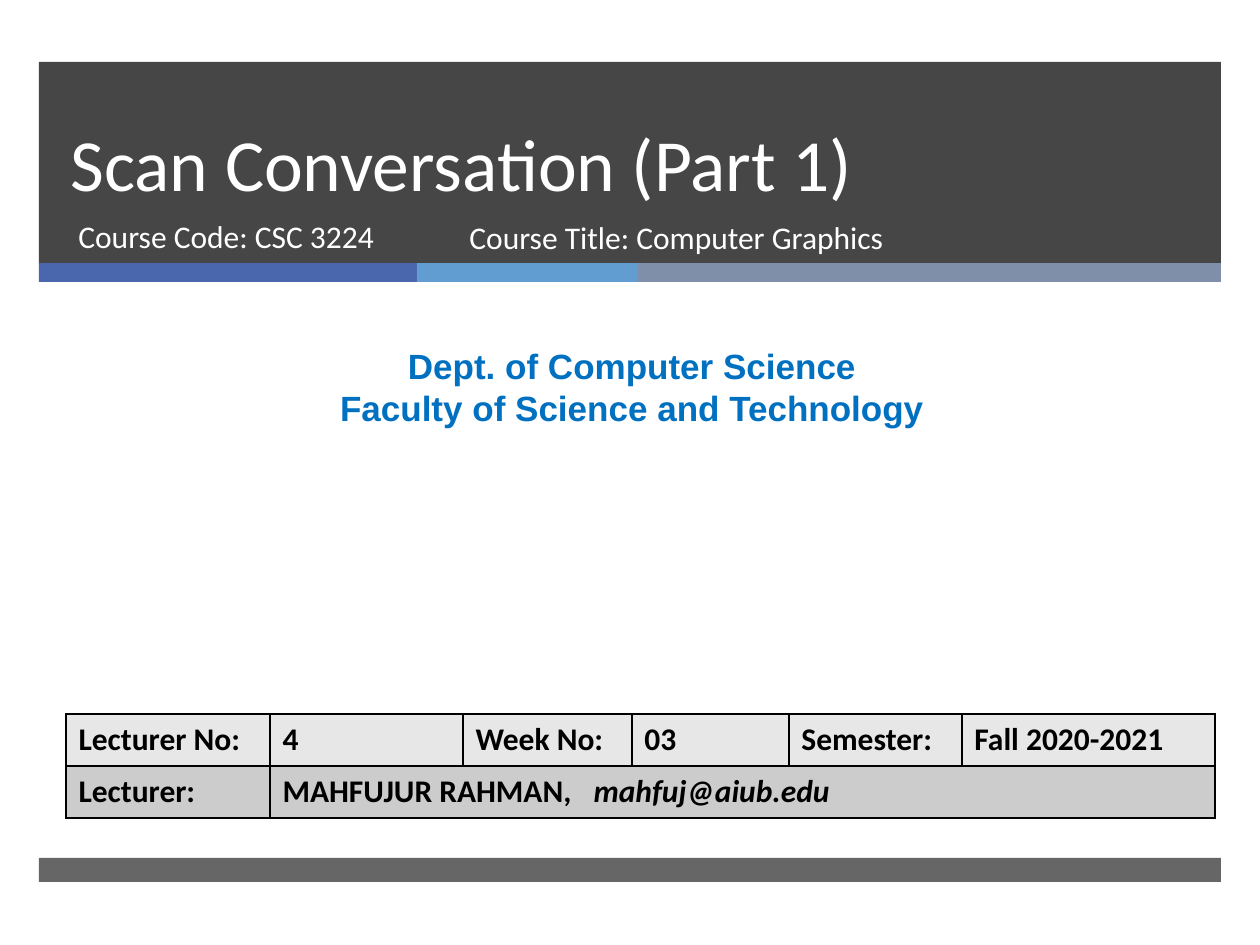
from lxml import etree
from pptx import Presentation
from pptx.dml.color import RGBColor
from pptx.enum.shapes import MSO_SHAPE
from pptx.enum.text import MSO_ANCHOR, PP_ALIGN
from pptx.oxml.ns import qn
from pptx.util import Pt

RECTANGLE = MSO_SHAPE.RECTANGLE
TOP = MSO_ANCHOR.TOP
BOTTOM = MSO_ANCHOR.BOTTOM
LEFT = PP_ALIGN.LEFT
CENTER = PP_ALIGN.CENTER

PX = 914400 / 126
COLORS = {
    "dark": "262626",
    "indigo": "4A66AC",
    "sky": "629DD1",
    "slate": "7F8FA9",
    "white": "FFFFFF",
    "blue": "0070C0",
    "black": "000000",
    "light row": "E7E7E7",
    "dark row": "CCCCCC",
}


def emu(*lengths):
    return [round(length * PX) for length in lengths]


def write(para, text, size=18, color="white", font="Calibri", bold=False,
          italic=False, align=LEFT, spacing=None):
    para.alignment = align
    if spacing:
        para.line_spacing = Pt(spacing)
    span = para.add_run()
    span.text = text
    span.font.size = Pt(size)
    span.font.name = font
    span.font.bold = bold
    span.font.italic = italic
    span.font.color.rgb = RGBColor.from_string(COLORS[color])


deck = Presentation()
deck.slide_width, deck.slide_height = emu(1260, 945)
page = deck.slides.add_slide(deck.slide_layouts[6])

bars = [
    (39, 62, 1182, 202, "dark", 85),
    (39, 263, 378, 19, "indigo", 100),
    (417, 263, 221, 19, "sky", 100),
    (638, 263, 583, 19, "slate", 100),
    (39, 858, 1182, 24, "dark", 70),
]
for left, top, width, height, color, opacity in bars:
    bar = page.shapes.add_shape(RECTANGLE, *emu(left, top, width, height))
    bar.shadow.inherit = False
    bar.line.fill.background()
    bar.fill.solid()
    bar.fill.fore_color.rgb = RGBColor.from_string(COLORS[color])
    if opacity < 100:
        tint = bar.fill._xPr.find(".//" + qn("a:srgbClr"))
        etree.SubElement(tint, qn("a:alpha"), val=str(opacity * 1000))

department = dict(size=20, color="blue", font="Arial", bold=True, align=CENTER, spacing=24)
texts = [
    (58, 62, 1076, 150, BOTTOM, ["Scan Conversation (Part 1)"], dict(size=42, spacing=46)),
    (66, 211, 384, 67, TOP, ["Course Code: CSC 3224"], {}),
    (10, 338, 1244, 97, TOP,
     ["Dept. of Computer Science", "Faculty of Science and Technology"], department),
    (457, 212, 573, 67, TOP, ["Course Title: Computer Graphics"], {}),
]
for left, top, width, height, anchor, lines, style in texts:
    box = page.shapes.add_textbox(*emu(left, top, width, height))
    frame = box.text_frame
    frame.word_wrap = True
    frame.vertical_anchor = anchor
    for index, line in enumerate(lines):
        para = frame.add_paragraph() if index else frame.paragraphs[0]
        write(para, line, **style)

column_widths = [204, 193, 169, 157, 173, 253]
row_height = 52
rows = [
    ["Lecturer No:", "4", "Week No:", "03", "Semester:", "Fall 2020-2021"],
    ["Lecturer:", "MAHFUJUR RAHMAN,"],
]
table = page.shapes.add_table(
    len(rows), len(column_widths),
    *emu(66, 714, sum(column_widths), row_height * len(rows))).table
for column, width in zip(table.columns, emu(*column_widths)):
    column.width = width
for row, fill in zip(table.rows, ["light row", "dark row"]):
    row.height = emu(row_height)[0]
    for cell in row.cells:
        cell.fill.solid()
        cell.fill.fore_color.rgb = RGBColor.from_string(COLORS[fill])
        properties = cell._tc.get_or_add_tcPr()
        for index, side in enumerate(["a:lnL", "a:lnR", "a:lnT", "a:lnB"]):
            border = etree.Element(qn(side), w=str(Pt(1)))
            solid = etree.SubElement(border, qn("a:solidFill"))
            etree.SubElement(solid, qn("a:srgbClr"), val=COLORS["black"])
            properties.insert(index, border)

lecturer = table.cell(1, 1)
lecturer.merge(table.cell(1, len(column_widths) - 1))
para = lecturer.text_frame.paragraphs[0]
tabs = etree.SubElement(para._p.get_or_add_pPr(), qn("a:tabLst"))
etree.SubElement(tabs, qn("a:tab"), pos=str(emu(311)[0]), algn="l")
for row_index, labels in enumerate(rows):
    for column_index, label in enumerate(labels):
        cell = table.cell(row_index, column_index)
        write(cell.text_frame.paragraphs[0], label, color="black", bold=True)
write(para, "\tmahfuj@aiub.edu", color="black", bold=True, italic=True)

deck.save("out.pptx")
